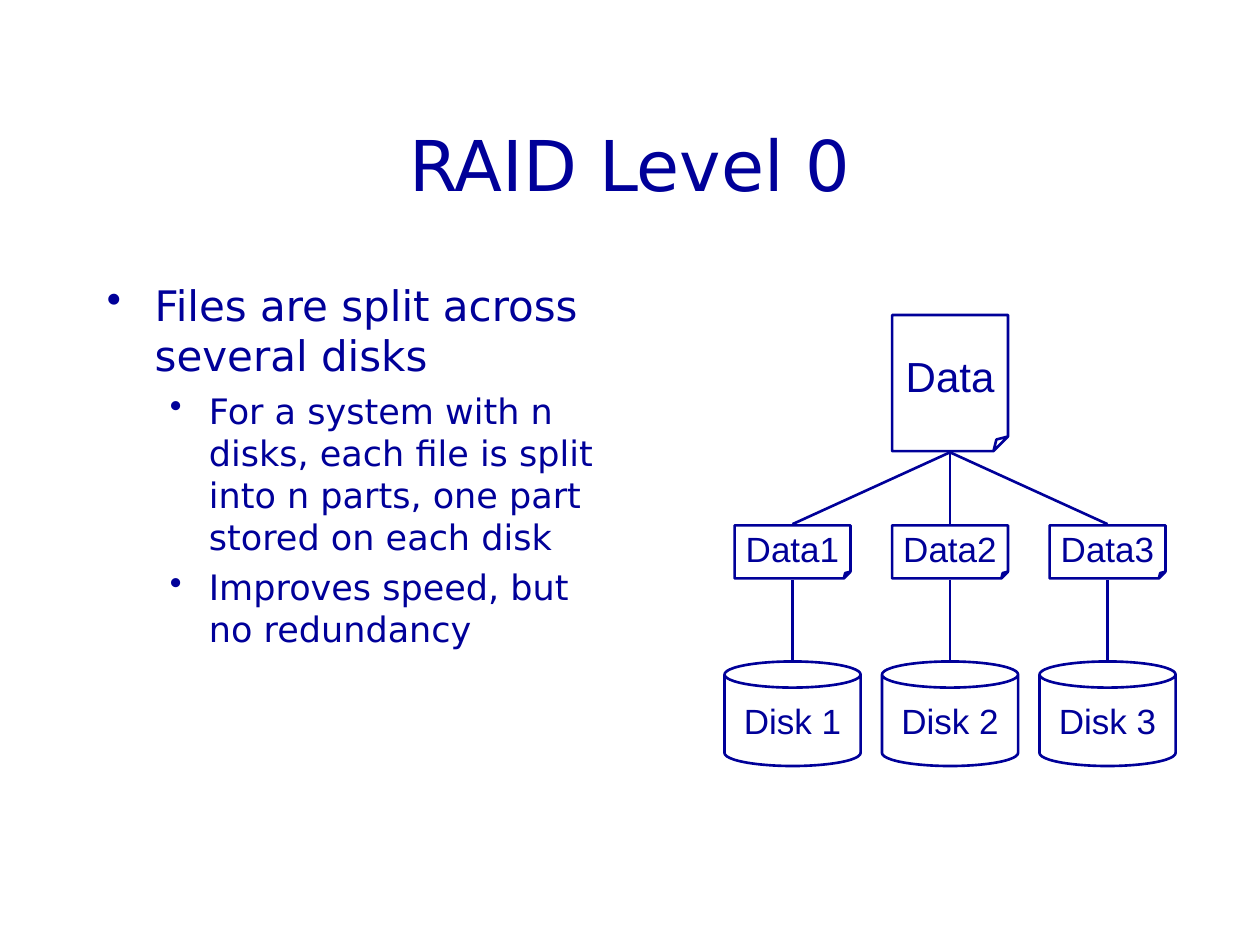
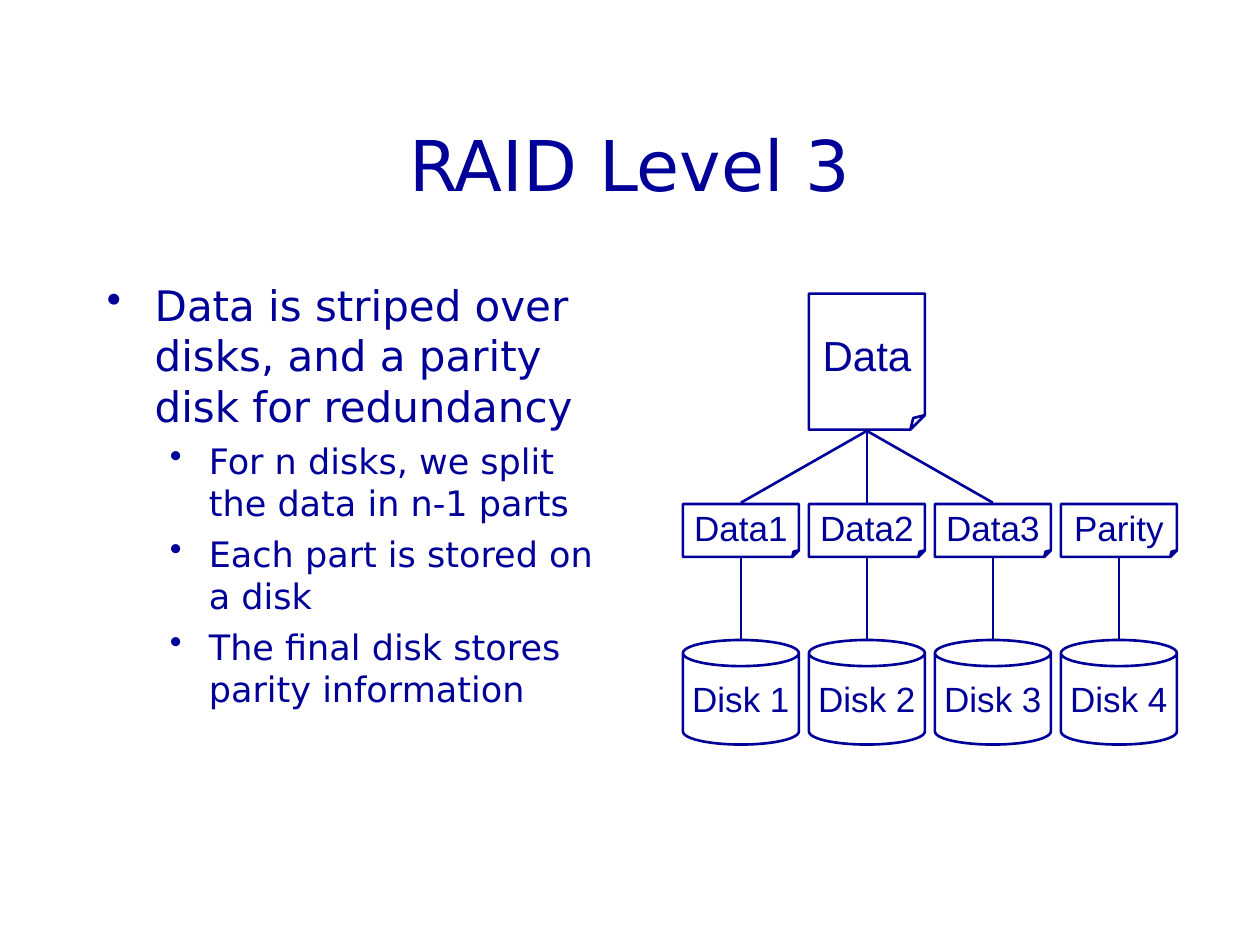
import pptx
import pptx.util
import pptx.dml.color
import pptx.enum.shapes
import pptx.enum.text
import pptx.oxml.ns
from lxml import etree

Inches = pptx.util.Inches
Pt = pptx.util.Pt
qn = pptx.oxml.ns.qn
SHAPE = pptx.enum.shapes.MSO_SHAPE
STRAIGHT = pptx.enum.shapes.MSO_CONNECTOR.STRAIGHT
ANCHOR = pptx.enum.text.MSO_ANCHOR
CENTER = pptx.enum.text.PP_ALIGN.CENTER

# Shared style
NAVY = "000099"
TEXT_FONT = "DejaVu Sans"
LABEL_FONT = "Arial"
LINE_WIDTH = Pt(1.5)

# Bullet levels: text size, left margin, hanging indent, space before
LEVELS = [(24, 0.38, 0.38, 6), (20, 0.81, 0.31, 5)]

# Diagram sizes, and tops measured from the top of the data sheet
BOX_W, DATA_H, PART_H, DISK_H = 0.92, 1.08, 0.42, 0.83
PART_DY, DISK_DY = 1.67, 2.75
LINE_GAP = 0.01

# Shape adjustments, in 1/100000 of the shorter side
ADJUST = {SHAPE.CAN: 25000, SHAPE.FOLDED_CORNER: 12500}

SLIDES = [
    {
        "title": "RAID Level 0",
        "bullets": [
            (0, "Files are split across several disks"),
            (1, "For a system with n disks, each file is split into n parts, "
                "one part stored on each disk"),
            (1, "Improves speed, but no redundancy"),
        ],
        "parts": ["Data1", "Data2", "Data3"],
        "first_x": 6.29, "pitch": 1.25, "top": 2.5, "disk_w": 1.08,
    },
    {
        "title": "RAID Level 3",
        "bullets": [
            (0, "Data is striped over disks, and a parity disk for redundancy"),
            (1, "For n disks, we split the data in n-1 parts"),
            (1, "Each part is stored on a disk"),
            (1, "The final disk stores parity information"),
        ],
        "parts": ["Data1", "Data2", "Data3", "Parity"],
        "first_x": 5.88, "pitch": 1, "top": 2.33, "disk_w": 0.92,
    },
]


def color(hex_string):
    return pptx.dml.color.RGBColor.from_string(hex_string)


def add_run(p, text, size, font):
    r = p.add_run()
    r.text = text
    r.font.size = Pt(size)
    r.font.name = font
    r.font.color.rgb = color(NAVY)


prs = pptx.Presentation()
prs.slide_width = Inches(10)
prs.slide_height = Inches(7.5)

for content in SLIDES:
    s = prs.slides.add_slide(prs.slide_layouts[6])

    # Title
    tf = s.shapes.add_textbox(Inches(0.75), Inches(0.67), Inches(8.5), Inches(1.25)).text_frame
    tf.word_wrap = True
    tf.vertical_anchor = ANCHOR.MIDDLE
    p = tf.paragraphs[0]
    p.alignment = CENTER
    add_run(p, content["title"], 40, TEXT_FONT)

    # Bullets
    tf = s.shapes.add_textbox(Inches(0.75), Inches(2.17), Inches(4.17), Inches(4.5)).text_frame
    tf.word_wrap = True
    for i, (level, text) in enumerate(content["bullets"]):
        size, margin, hanging, before = LEVELS[level]
        p = tf.add_paragraph() if i else tf.paragraphs[0]
        p.level = level
        p.space_before = Pt(before)
        pPr = p._p.get_or_add_pPr()
        pPr.set("marL", str(Inches(margin)))
        pPr.set("indent", str(-Inches(hanging)))
        bullet_color = etree.SubElement(pPr, qn("a:buClr"))
        etree.SubElement(bullet_color, qn("a:srgbClr"), val=NAVY)
        etree.SubElement(pPr, qn("a:buChar"), char="•")
        add_run(p, text, size, TEXT_FONT)

    # Diagram: the data sheet sits above the second column
    columns = [content["first_x"] + i * content["pitch"] for i in range(len(content["parts"]))]
    data_x = columns[1]
    data_y = content["top"]
    part_y = data_y + PART_DY
    disk_y = data_y + DISK_DY

    boxes = [(SHAPE.FOLDED_CORNER, "Data", 24, data_x, data_y, BOX_W, DATA_H)]
    lines = []
    for i, (x, part) in enumerate(zip(columns, content["parts"])):
        boxes.append((SHAPE.FOLDED_CORNER, part, 20, x, part_y, BOX_W, PART_H))
        boxes.append((SHAPE.CAN, f"Disk {i + 1}", 20, x, disk_y, content["disk_w"], DISK_H))
        lines.append((x, disk_y - LINE_GAP, x, part_y + PART_H + LINE_GAP))
        if part != "Parity":
            lines.append((data_x, data_y + DATA_H + LINE_GAP, x, part_y - LINE_GAP))

    # Sheets and disks, centred on their columns
    for kind, label, size, x, y, w, h in boxes:
        sp = s.shapes.add_shape(kind, Inches(x - w / 2), Inches(y), Inches(w), Inches(h))
        guides = sp._element.spPr.find(qn("a:prstGeom")).get_or_add_avLst()
        guides.clear()
        etree.SubElement(guides, qn("a:gd"), name="adj", fmla=f"val {ADJUST[kind]}")
        sp.shadow.inherit = False
        sp.fill.background()
        sp.line.color.rgb = color(NAVY)
        sp.line.width = LINE_WIDTH
        tf = sp.text_frame
        tf.word_wrap = False
        tf.vertical_anchor = ANCHOR.MIDDLE
        p = tf.paragraphs[0]
        p.alignment = CENTER
        add_run(p, label, size, LABEL_FONT)

    # Connecting lines
    for ends in lines:
        line = s.shapes.add_connector(STRAIGHT, *[Inches(v) for v in ends])
        line.line.color.rgb = color(NAVY)
        line.line.width = LINE_WIDTH
        etree.SubElement(line._element.spPr, qn("a:effectLst"))

prs.save("out.pptx")
